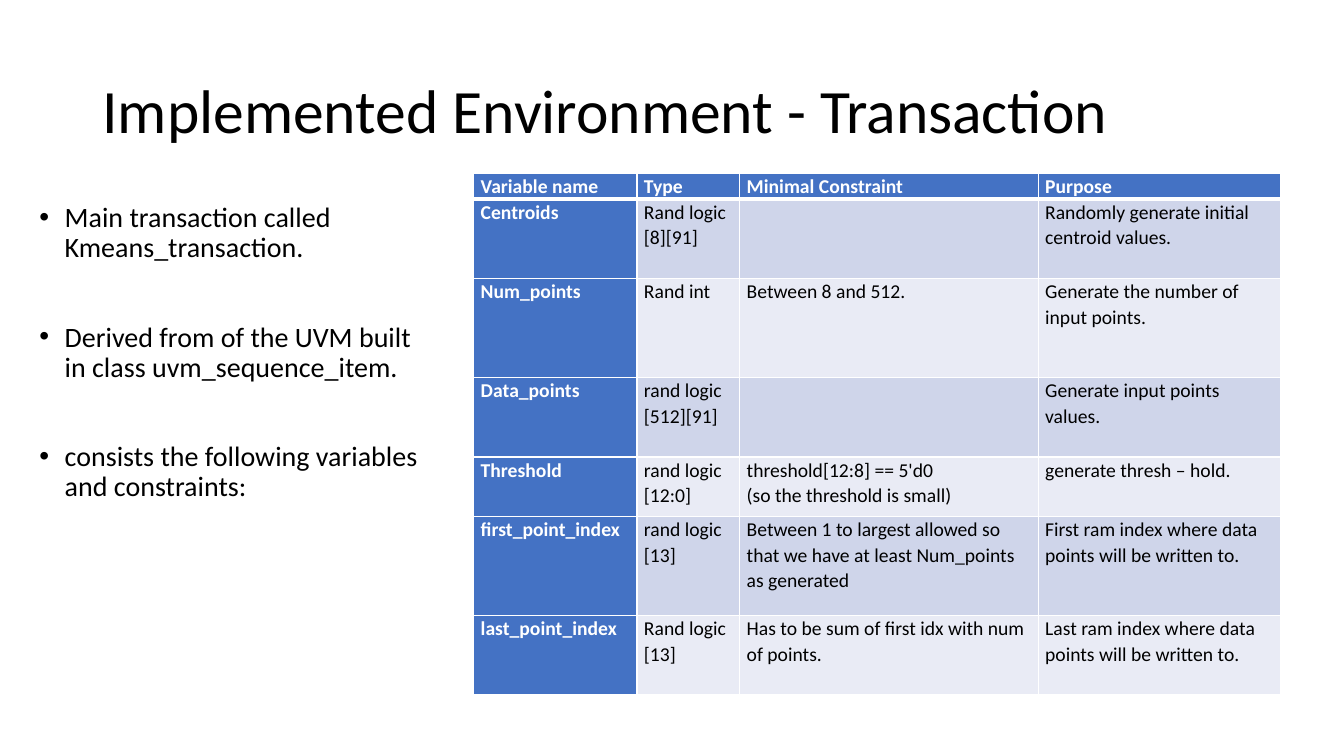
import pptx
import pptx.util
import pptx.dml.color
import pptx.enum.text
import pptx.oxml
import lxml.etree
from pptx.oxml.ns import qn

Pt = pptx.util.Pt
COLORS = {"text": "000000", "light": "FFFFFF", "accent": "4472C4",
          "odd": "CFD5EA", "even": "E9EBF5"}
TITLE = "Implemented Environment - Transaction"
POINTS = ["Main transaction called Kmeans_transaction.",
          "Derived from of the UVM built in class uvm_sequence_item.",
          "consists the following variables and constraints:"]
VARIABLES = [
    ("Variable name", "Type", "Minimal Constraint", "Purpose"),
    ("Centroids", "Rand logic [8][91]", "", "Randomly generate initial centroid values."),
    ("Num_points", "Rand int", "Between 8 and 512.", "Generate the number of input points."),
    ("Data_points", "rand logic [512][91]", "", "Generate input points values."),
    ("Threshold", "rand logic [12:0]", "threshold[12:8] == 5'd0\n(so the threshold is small)",
     "generate thresh – hold."),
    ("first_point_index", "rand logic [13]",
     "Between 1 to largest allowed so that we have at least Num_points as generated",
     "First ram index where data points will be written to."),
    ("last_point_index", "Rand logic [13]", "Has to be sum of first idx with num of points.",
     "Last ram index where data points will be written to."),
]
COLUMN_WIDTHS = [116.6, 73.4, 213.2, 172.8]
ROW_HEIGHTS = [16, 56.8, 70.8, 56.8, 42.4, 70.8, 56.8]


def apply(target, values):
    for name, value in values.items():
        setattr(target, name, value)


def place(part, box):
    apply(part, dict(zip(("left", "top", "width", "height"), map(Pt, box))))


def format_paragraph(paragraph, size, color, bold=False, **layout):
    apply(paragraph, layout)
    apply(paragraph.font, {"name": "Calibri", "size": Pt(size), "bold": bold})
    paragraph.font.color.rgb = pptx.dml.color.RGBColor.from_string(COLORS[color])


def add_title(slide, box):
    title = slide.shapes.title
    place(title, box)
    apply(title.text_frame, {"text": TITLE, "word_wrap": True,
                             "auto_size": pptx.enum.text.MSO_AUTO_SIZE.NONE,
                             "vertical_anchor": pptx.enum.text.MSO_ANCHOR.MIDDLE})
    format_paragraph(title.text_frame.paragraphs[0], 44, "text", line_spacing=0.9,
                     alignment=pptx.enum.text.PP_ALIGN.LEFT)


def add_points(slide, box):
    body = slide.placeholders[1]
    place(body, box)
    apply(body.text_frame, {"text": "\n".join(POINTS), "word_wrap": True,
                            "auto_size": pptx.enum.text.MSO_AUTO_SIZE.NONE,
                            "vertical_anchor": pptx.enum.text.MSO_ANCHOR.TOP})
    for index, point in enumerate(body.text_frame.paragraphs):
        format_paragraph(point, 20, "text", line_spacing=0.9,
                         space_before=Pt(42 if index else 10))
        properties = point._p.get_or_add_pPr()
        properties.set("marL", str(Pt(18)))
        properties.set("indent", str(Pt(-18)))
        bullet_font = lxml.etree.SubElement(properties, qn("a:buFont"))
        bullet_font.set("typeface", "Arial")
        bullet = lxml.etree.SubElement(properties, qn("a:buChar"))
        bullet.set("char", "•")
        default_run = properties.find(qn("a:defRPr"))
        if default_run is not None:
            properties.append(default_run)


def add_borders(cell, widths):
    properties = cell._tc.get_or_add_tcPr()
    for index, (side, width) in enumerate(widths.items()):
        border = pptx.oxml.parse_xml(
            '<a:%s xmlns:a="http://schemas.openxmlformats.org/drawingml/2006/main" w="%d">'
            '<a:solidFill><a:srgbClr val="%s"/></a:solidFill></a:%s>'
            % (side, Pt(width), COLORS["light"], side))
        properties.insert(index, border)


def fill_cell(cell, text, row, column):
    heading = row == 0 or column == 0
    apply(cell, {"text": text, "margin_left": Pt(5), "margin_right": Pt(5),
                 "margin_top": 0, "margin_bottom": 0})
    for paragraph in cell.text_frame.paragraphs:
        format_paragraph(paragraph, 14, "light" if heading else "text", heading,
                         line_spacing=1.07)
    shade = "accent" if heading else "odd" if row % 2 else "even"
    cell.fill.solid()
    cell.fill.fore_color.rgb = pptx.dml.color.RGBColor.from_string(COLORS[shade])
    add_borders(cell, {"lnL": 1, "lnR": 1, "lnT": 3 if row == 1 else 1,
                       "lnB": 3 if row == 0 else 1})


def add_variables(slide, left, top):
    table = slide.shapes.add_table(
        len(VARIABLES), len(COLUMN_WIDTHS), Pt(left), Pt(top),
        Pt(sum(COLUMN_WIDTHS)), Pt(sum(ROW_HEIGHTS))).table
    apply(table, {"first_col": True, "horz_banding": True})
    for column, width in zip(table.columns, COLUMN_WIDTHS):
        column.width = Pt(width)
    for row, height in zip(table.rows, ROW_HEIGHTS):
        row.height = Pt(height)
    for row, variable in enumerate(VARIABLES):
        for column, text in enumerate(variable):
            fill_cell(table.cell(row, column), text, row, column)


def main():
    deck = pptx.Presentation()
    apply(deck, {"slide_width": Pt(960), "slide_height": Pt(540)})
    slide = deck.slides.add_slide(deck.slide_layouts[1])
    add_title(slide, (66, 28.8, 828, 104.4))
    add_points(slide, (21, 141.8, 287.4, 346.4))
    add_variables(slide, 338.4, 123.8)
    deck.save("out.pptx")


if __name__ == "__main__":
    main()
